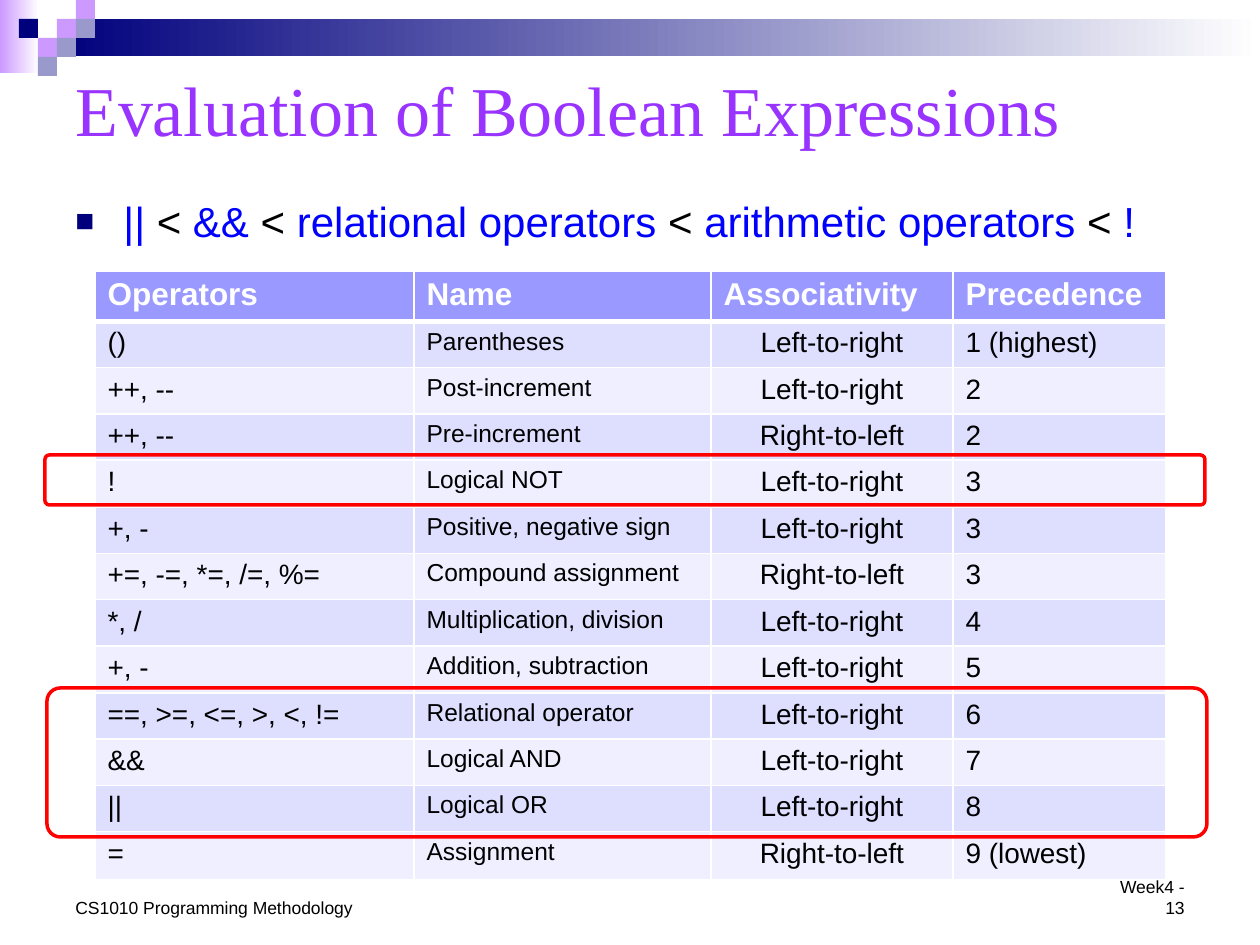
from pptx import Presentation
from pptx.dml.color import RGBColor
from pptx.enum.shapes import MSO_SHAPE as SHAPE
from pptx.enum.text import MSO_ANCHOR as ANCHOR, PP_ALIGN as ALIGN
from pptx.oxml import parse_xml
from pptx.oxml.ns import nsdecls
from pptx.util import Pt

PX = 914400 / 126
COLORS = {
    "white": "FFFFFF", "black": "000000", "navy": "00007D", "lilac": "CC99FF",
    "slate": "9999CC", "title": "9933FF", "blue": "0000FF", "red": "FF0000",
    "head": "9999FF", "odd": "DEDEFF", "even": "EFEFFF",
}
SQUARES = [
    (3, 1, "lilac"), (4, 0, "lilac"), (4, 1, "slate"), (2, 2, "lilac"),
    (1, 1, "navy"), (3, 2, "slate"), (2, 3, "slate"),
]
PRECEDENCE = [
    ("|| ", "blue"), ("<", "black"), (" && ", "blue"), ("<", "black"),
    (" relational operators ", "blue"), ("< ", "black"),
    ("arithmetic operators ", "blue"), ("<", "black"), (" !", "blue"),
]
LEFT, RIGHT = "Left-to-right", "Right-to-left"
OPERATORS = [
    ("Operators", "Name", "Associativity", "Precedence"),
    ("()", "Parentheses", LEFT, "1 (highest)"),
    ("++, --", "Post-increment", LEFT, "2"),
    ("++, --", "Pre-increment", RIGHT, "2"),
    ("!", "Logical NOT", LEFT, "3"),
    ("+, -", "Positive, negative sign", LEFT, "3"),
    ("+=, -=, *=, /=, %=", "Compound assignment", RIGHT, "3"),
    ("*, /", "Multiplication, division", LEFT, "4"),
    ("+, -", "Addition, subtraction", LEFT, "5"),
    ("==, >=, <=, >, <, !=", "Relational operator", LEFT, "6"),
    ("&&", "Logical AND", LEFT, "7"),
    ("||", "Logical OR", LEFT, "8"),
    ("=", "Assignment", RIGHT, "9 (lowest)"),
]
COL_WIDTHS = [319, 297, 242, 213]
ROW_HEIGHTS = [49, *([46, 46, 46, 47] * 3)[:11], 48]


def px(*lengths):
    return [round(n * PX) for n in lengths]


def rgb(name):
    return RGBColor.from_string(COLORS[name])


def write(p, text, size=16, color="black", font="Arial", bold=False, align=ALIGN.LEFT):
    p.alignment = align
    r = p.add_run()
    r.text = text
    r.font.size, r.font.name, r.font.bold = Pt(size), font, bold
    r.font.color.rgb = rgb(color)


class Deck:
    """Slide under construction with its drawing style."""

    def __init__(self):
        self.prs = Presentation()
        self.prs.slide_width, self.prs.slide_height = px(1260, 945)
        self.s = self.prs.slides.add_slide(self.prs.slide_layouts[6])

    def shape(self, box, kind=SHAPE.RECTANGLE):
        sp = self.s.shapes.add_shape(kind, *px(*box))
        sp.shadow.inherit = False
        sp.line.fill.background()
        return sp

    def square(self, box, color):
        sp = self.shape(box)
        sp.fill.solid()
        sp.fill.fore_color.rgb = rgb(color)

    def fade(self, box, color):
        sp = self.shape(box)
        sp.fill.gradient()
        sp.fill.gradient_angle = 0
        for stop, name in zip(sp.fill.gradient_stops, (color, "white")):
            stop.color.rgb = rgb(name)

    def highlight(self, box):
        sp = self.shape(box, SHAPE.ROUNDED_RECTANGLE)
        sp.adjustments[0] = 0.09
        sp.fill.background()
        sp.line.color.rgb = rgb("red")
        sp.line.width = Pt(2)

    def text_box(self, box, anchor=ANCHOR.TOP):
        tf = self.s.shapes.add_textbox(*px(*box)).text_frame
        tf.word_wrap = True
        tf.vertical_anchor = anchor
        return tf.paragraphs[0]

    def text(self, box, text, anchor=ANCHOR.BOTTOM, **style):
        write(self.text_box(box, anchor), text, **style)

    def bullet(self, box, runs, size):
        p = self.text_box(box)
        pPr = p._p.get_or_add_pPr()
        indent = px(48)[0]
        pPr.set("marL", str(indent))
        pPr.set("indent", str(-indent))
        for xml in (
            f'<a:buClr {nsdecls("a")}><a:srgbClr val="{COLORS["navy"]}"/></a:buClr>',
            f'<a:buSzPct {nsdecls("a")} val="75000"/>',
            f'<a:buFont {nsdecls("a")} typeface="Arial"/>',
            f'<a:buChar {nsdecls("a")} char="■"/>',
        ):
            pPr.append(parse_xml(xml))
        for text, color in runs:
            write(p, text, size=size, color=color)

    def cell(self, cell, text, fill, top=1, bottom=1, **style):
        tcPr = cell._tc.get_or_add_tcPr()
        for side, width in zip("LRTB", (1, 1, top, bottom)):
            tcPr.append(parse_xml(
                f'<a:ln{side} {nsdecls("a")} w="{Pt(width)}"><a:solidFill>'
                f'<a:srgbClr val="{COLORS["white"]}"/></a:solidFill></a:ln{side}>'))
        cell.fill.solid()
        cell.fill.fore_color.rgb = rgb(fill)
        write(cell.text_frame.paragraphs[0], text, **style)

    def table(self, left, top, rows, widths, heights):
        box = px(left, top, sum(widths), sum(heights))
        table = self.s.shapes.add_table(len(rows), len(widths), *box).table
        for col, width in zip(table.columns, px(*widths)):
            col.width = width
        for row, height in zip(table.rows, px(*heights)):
            row.height = height
        for i, row in enumerate(rows):
            for j, text in enumerate(row):
                if i == 0:
                    self.cell(table.cell(i, j), text, "head", bottom=3,
                              size=18, color="white", bold=True)
                else:
                    self.cell(table.cell(i, j), text, "odd" if i % 2 else "even",
                              top=3 if i == 1 else 1, size=14 if j == 1 else 16,
                              align=ALIGN.CENTER if j == 2 else ALIGN.LEFT)


def main():
    deck = Deck()
    deck.fade((0, 0, 39, 73), "lilac")
    deck.fade((57, 19, 1203, 37), "navy")
    for col, row, color in SQUARES:
        deck.square((19 * col, 19 * row, 19, 19), color)
    deck.text((63, 53, 1134, 111), "Evaluation of Boolean Expressions",
              anchor=ANCHOR.MIDDLE, size=40, color="title", font="Times New Roman")
    deck.text((1091, 890, 106, 34), "Week4 - 13", size=10, align=ALIGN.RIGHT)
    deck.bullet((63, 189, 1134, 63), PRECEDENCE, size=24)
    deck.table(95, 271, OPERATORS, COL_WIDTHS, ROW_HEIGHTS)
    deck.highlight((47, 688, 1160, 149))
    deck.highlight((45, 455, 1160, 50))
    deck.text((63, 890, 305, 34), "CS1010 Programming Methodology", size=10)
    deck.prs.save("out.pptx")


if __name__ == "__main__":
    main()
